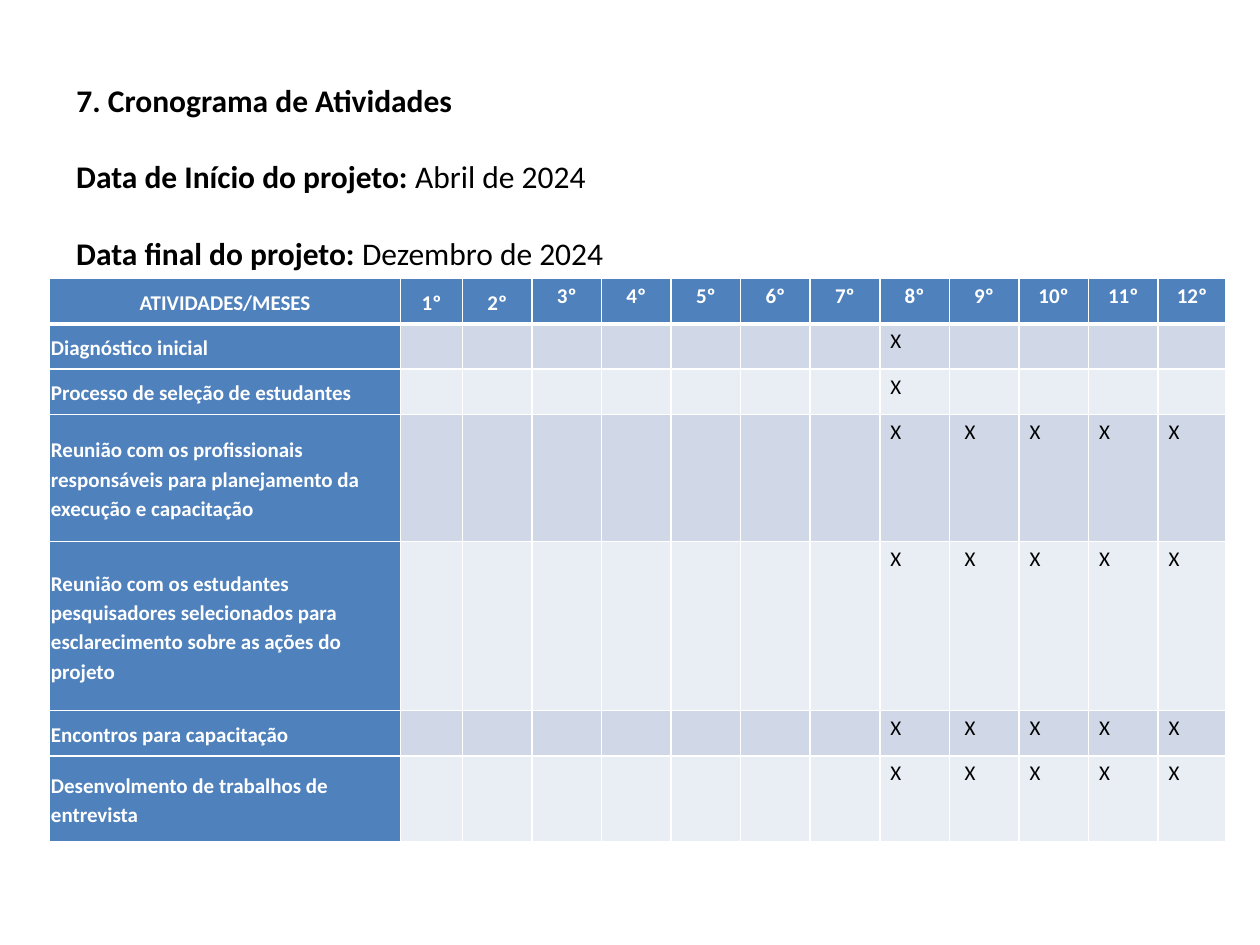
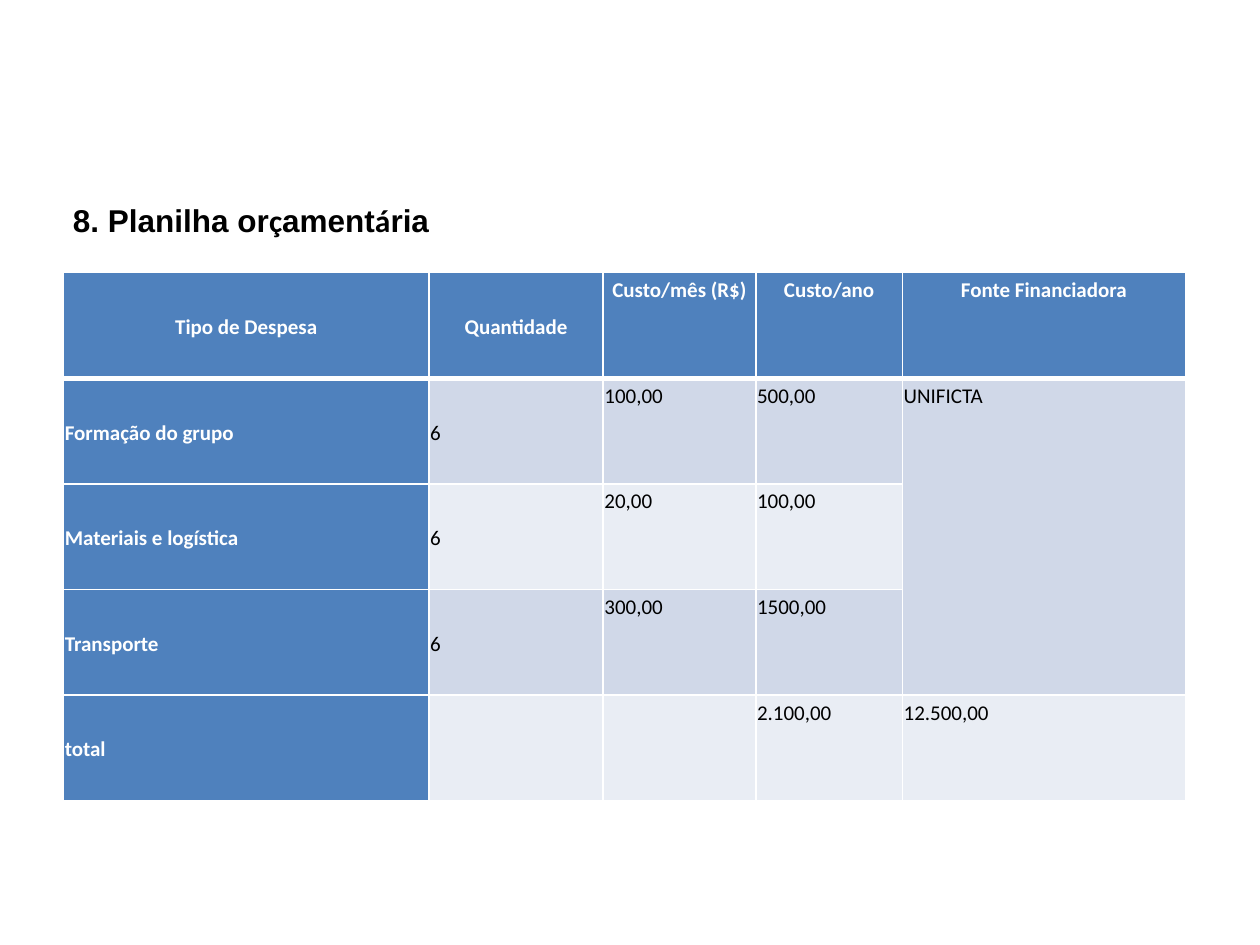
from dataclasses import dataclass

import lxml.etree
import pptx
import pptx.dml.color
import pptx.enum.text
import pptx.oxml.ns
import pptx.util

Pt = pptx.util.Pt
ALIGN = pptx.enum.text.PP_ALIGN
ANCHOR = pptx.enum.text.MSO_ANCHOR


@dataclass(frozen=True)
class Theme:
    ink: str = "000000"
    white: str = "FFFFFF"
    header: str = "4F81BD"
    bands: tuple = ("D0D8E8", "E9EDF4")
    body_font: str = "Calibri"
    title_font: str = "Arial"
    title_size: float = 18
    table_size: float = 12
    table_leading: float = 1.15
    cell_margin: float = 0.72
    rule: float = 1
    header_rule: float = 3


THEME = Theme()

ACTIVITIES = [
    ("Diagnóstico inicial", 8, 8, 25.9),
    ("Processo de seleção de estudantes", 8, 8, 25.9),
    ("Reunião com os profissionais responsáveis para planejamento da "
     "execução e capacitação", 8, 12, 72.7),
    ("Reunião com os estudantes pesquisadores selecionados para "
     "esclarecimento sobre as ações do projeto", 8, 12, 96.5),
    ("Encontros para capacitação", 8, 12, 25.9),
    ("Desenvolmento de trabalhos de entrevista", 8, 12, 49),
]

EXPENSES = [
    ["Tipo de Despesa", "Quantidade", "Custo/mês (R$)", "Custo/ano", "Fonte Financiadora"],
    ["Formação do grupo", "6", "100,00", "500,00", "UNIFICTA"],
    ["Materiais e logística", "6", "20,00", "100,00", ""],
    ["Transporte", "6", "300,00", "1500,00", ""],
    ["total", "", "", "2.100,00", "12.500,00"],
]


def write(paragraph, text, font=THEME.body_font, size=THEME.title_size,
          color=THEME.ink, bold=False):
    run = paragraph.add_run()
    run.text = text
    run.font.name = font
    run.font.size = Pt(size)
    run.font.bold = bold
    run.font.color.rgb = pptx.dml.color.RGBColor.from_string(color)


def prepare_frame(frame):
    frame.word_wrap = True
    frame.auto_size = pptx.enum.text.MSO_AUTO_SIZE.NONE
    frame.vertical_anchor = ANCHOR.MIDDLE


def place_title(slide, left, top, width, pieces):
    title = slide.shapes.title
    title.left, title.top, title.width, title.height = map(Pt, (left, top, width, 29))
    prepare_frame(title.text_frame)
    heading = title.text_frame.paragraphs[0]
    heading.alignment = ALIGN.LEFT
    for text, font in pieces:
        write(heading, text, font=font, bold=True)


def add_dates(slide, left, top, width, height, dates):
    frame = slide.shapes.add_textbox(*map(Pt, (left, top, width, height))).text_frame
    prepare_frame(frame)
    for index, (label, date) in enumerate(dates):
        line = frame.add_paragraph() if index else frame.paragraphs[0]
        line.space_before = Pt(22 if index else 0)
        write(line, label, bold=True)
        write(line, date)


def draw_borders(cell, **widths):
    properties = cell._tc.get_or_add_tcPr()
    for side in ("lnL", "lnR", "lnT", "lnB"):
        border = lxml.etree.SubElement(
            properties, pptx.oxml.ns.qn(f"a:{side}"),
            w=str(Pt(widths.get(side, THEME.rule))))
        fill = lxml.etree.SubElement(border, pptx.oxml.ns.qn("a:solidFill"))
        lxml.etree.SubElement(fill, pptx.oxml.ns.qn("a:srgbClr"), val=THEME.white)


def fill_cell(cell, text, row, column, centred, indent):
    heading = row == 0 or column == 0
    if row == 0:
        draw_borders(cell, lnB=THEME.header_rule)
    elif row == 1:
        draw_borders(cell, lnT=THEME.header_rule)
    else:
        draw_borders(cell)
    cell.fill.solid()
    cell.fill.fore_color.rgb = pptx.dml.color.RGBColor.from_string(
        THEME.header if heading else THEME.bands[(row - 1) % 2])
    cell.margin_left = Pt(THEME.cell_margin + indent)
    cell.margin_right = cell.margin_top = cell.margin_bottom = Pt(THEME.cell_margin)
    cell.vertical_anchor = ANCHOR.MIDDLE if centred else ANCHOR.TOP
    if text:
        line = cell.text_frame.paragraphs[0]
        line.line_spacing = THEME.table_leading
        line.alignment = ALIGN.CENTER if row == 0 else ALIGN.LEFT
        write(line, text, size=THEME.table_size, bold=heading,
              color=THEME.white if heading else THEME.ink)


def add_grid(slide, left, top, widths, heights, rows, is_centred, indent_of):
    grid = slide.shapes.add_table(
        len(rows), len(widths), Pt(left), Pt(top), Pt(sum(widths)), Pt(sum(heights))).table
    for column, width in zip(grid.columns, widths):
        column.width = Pt(width)
    for row, height in zip(grid.rows, heights):
        row.height = Pt(height)
    for r, texts in enumerate(rows):
        for c, text in enumerate(texts):
            fill_cell(grid.cell(r, c), text, r, c, is_centred(r, c), indent_of(r, c))
    return grid


def month_indent(row, month):
    if row == 0 or month == 0:
        return 0
    return 8.1 if month == 9 else 5.4


def build_schedule(slide):
    months = range(1, 13)
    rows = [["ATIVIDADES/MESES"] + [f"{month}º" for month in months]]
    for activity, first, last, _ in ACTIVITIES:
        rows.append([activity] + ["X" if first <= month <= last else "" for month in months])
    add_grid(slide, 28.4, 159.2, [200.5, 35.4] + [39.75] * 10 + [39],
             [25.9] + [activity[3] for activity in ACTIVITIES], rows,
             lambda row, month: month == 0 or (row == 0 and month <= 2), month_indent)
    place_title(slide, 36.5, 42.5, 319, [("7. Cronograma de Atividades", THEME.body_font)])
    add_dates(slide, 36.5, 86, 319, 73, [
        ("Data de Início do projeto: ", "Abril de 2024"),
        ("Data final do projeto: ", "Dezembro de 2024"),
    ])


def build_budget(slide):
    budget = add_grid(slide, 36.3, 155.8, [208.8, 99.6, 87.2, 83.8, 161.8],
                      [60.35] * len(EXPENSES), EXPENSES,
                      lambda row, column: column <= 1, lambda row, column: 0)
    budget.cell(1, 4).merge(budget.cell(3, 4))
    place_title(slide, 34.5, 111, 240, [
        ("8. Planilha or", THEME.title_font), ("ç", THEME.body_font),
        ("ament", THEME.title_font), ("á", THEME.body_font), ("ria", THEME.title_font),
    ])


def main():
    deck = pptx.Presentation()
    deck.slide_width, deck.slide_height = Pt(720), Pt(540)
    title_only = deck.slide_layouts[5]
    for build in (build_schedule, build_budget):
        build(deck.slides.add_slide(title_only))
    deck.save("out.pptx")


if __name__ == "__main__":
    main()
